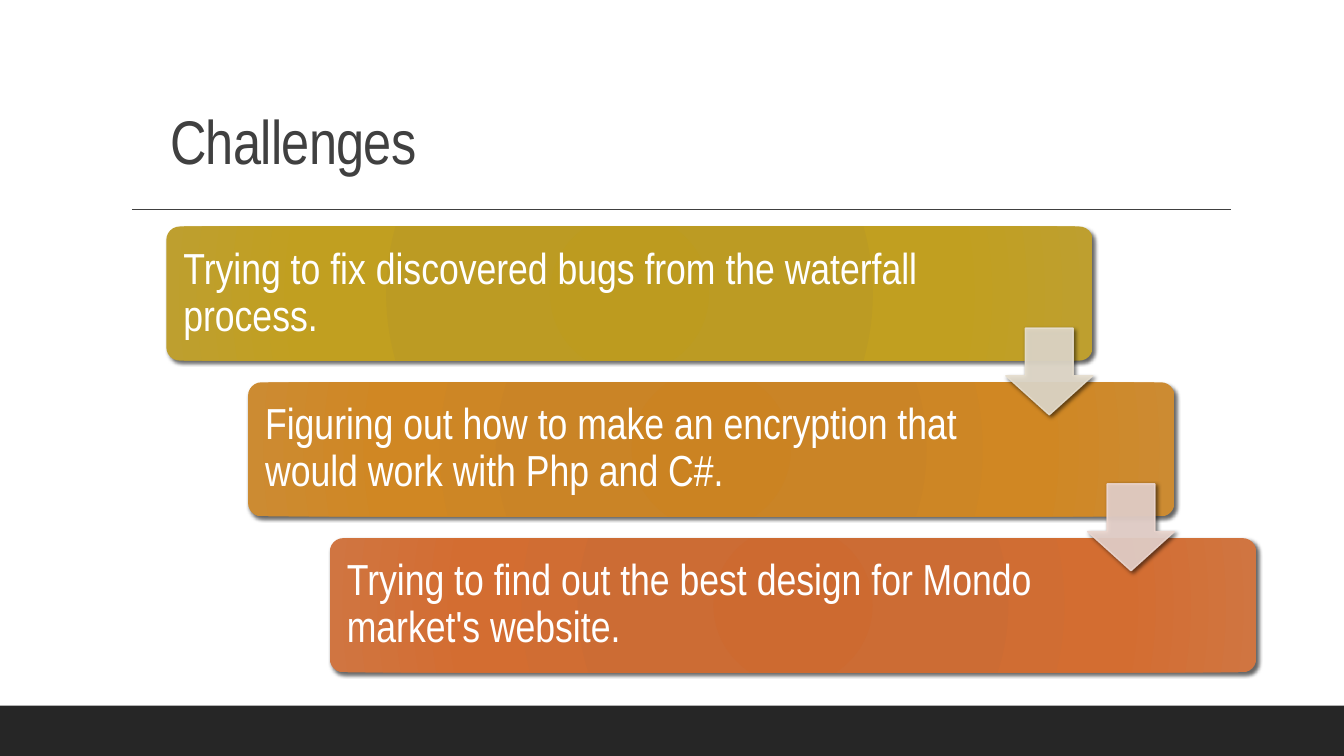
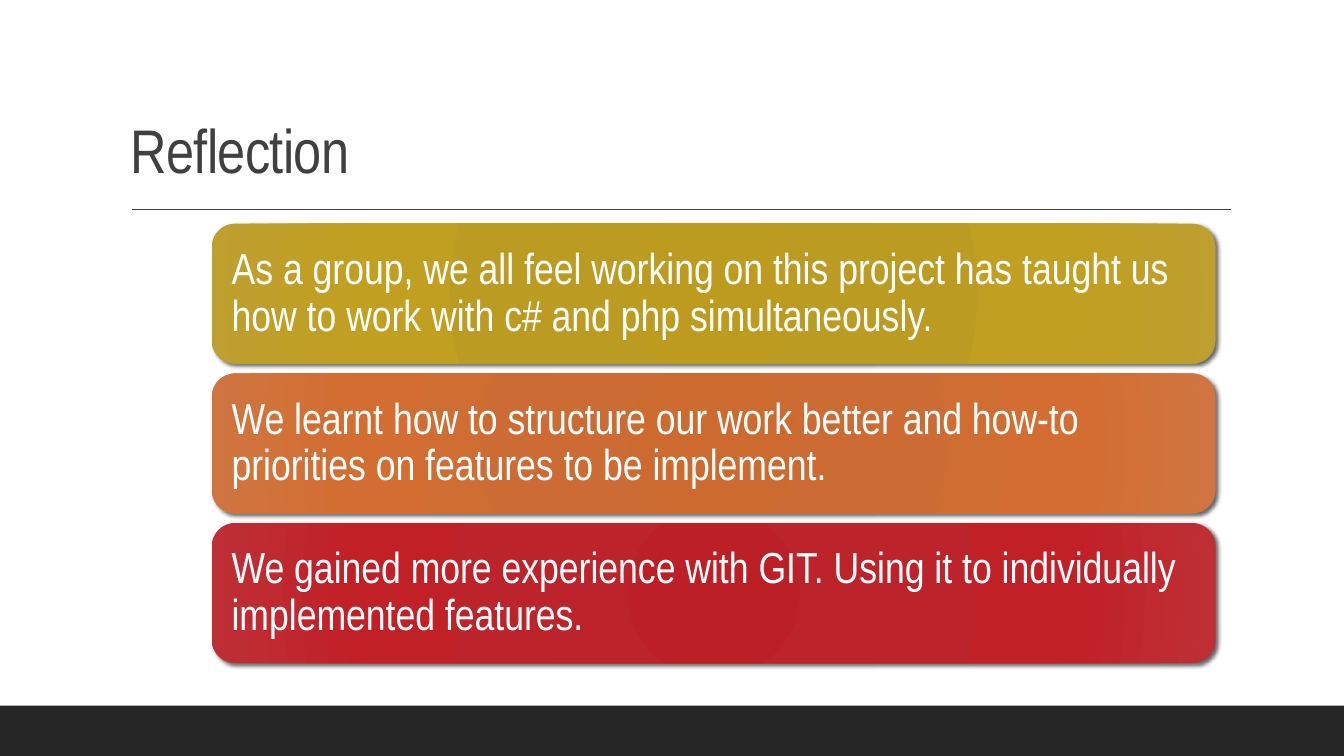
from dataclasses import dataclass
from lxml import etree
from pptx import Presentation
from pptx.dml.color import RGBColor as Rgb
from pptx.enum.shapes import MSO_CONNECTOR as Conn, MSO_SHAPE as Kind
from pptx.enum.text import MSO_ANCHOR as Anchor, PP_ALIGN as Align
from pptx.oxml import parse_xml
from pptx.oxml.ns import nsdecls, qn
from pptx.util import Pt

GOLD = [(0, "BD9B1F"), (34, "BC9B23"), (70, "C19F20"), (100, "BE9F2F")]
AMBER = [(0, "CB8322"), (34, "CA8426"), (70, "D08723"), (100, "CC8B32")]
RUST = [(0, "CD6A30"), (34, "CC6C34"), (70, "D36D31"), (100, "D07541")]
RED = [(0, "BD1F26"), (34, "BC232A"), (70, "C12027"), (100, "BE2F35")]

DECK = [
    {
        "title": ("Challenges", (90.7, 59.8, 237.6, 87.1), Anchor.MIDDLE, Align.CENTER),
        "cards": [
            ("Trying to fix discovered bugs from the waterfall process.", GOLD),
            ("Figuring out how to make an encryption that would work with Php and C#.", AMBER),
            ("Trying to find out the best design for Mondo market's website.", RUST),
        ],
        "first": (118.8, 161.8), "step": (58.4, 111.3), "size": (661.7, 95.8),
        "round": 0.1, "spare": 98, "arrows": ["E6DECE", "EBD6CF"],
    },
    {
        "title": ("Reflection", (86.4, 22.3, 792, 114.5), Anchor.BOTTOM, Align.LEFT),
        "cards": [
            ("As a group, we all feel working on this project has taught us "
             "how to work with c# and php simultaneously.", GOLD),
            ("We learnt how to structure our work better and how-to "
             "priorities on features to be implement.", RUST),
            ("We gained more experience with GIT. Using it to "
             "individually implemented features.", RED),
        ],
        "first": (151.2, 159.8), "step": (0, 106.9), "size": (717.1, 100.1),
        "round": 0.167, "spare": 0, "arrows": [],
    },
]


@dataclass(frozen=True)
class Theme:
    font: str = "Arial Narrow"
    ink: str = "404040"
    band: str = "262626"
    white: str = "FFFFFF"
    head: float = 44
    body: float = 31
    inset: float = 9.4
    arrow: float = 62


T = Theme()
WIDE, HIGH = 960, 540


def pts(*vals):
    return [Pt(v) for v in vals]


def write(shape, text, size, tint, anchor, align, pad=None):
    frame = shape.text_frame
    look = {"word_wrap": True, "vertical_anchor": anchor, **(pad or {})}
    for key, val in look.items():
        setattr(frame, key, val)
    para = frame.paragraphs[0]
    para.alignment, para.line_spacing = align, 0.9
    run = para.add_run()
    run.text = text
    for key, val in {"name": T.font, "size": Pt(size)}.items():
        setattr(run.font, key, val)
    run.font.color.rgb = Rgb.from_string(tint)
    return run


def block(slide, kind, box, tint=None, adjust=()):
    shape = slide.shapes.add_shape(kind, *pts(*box))
    shape.shadow.inherit = False
    shape.line.fill.background()
    for num, val in enumerate(adjust):
        shape.adjustments[num] = val
    if tint:
        shape.fill.solid()
        shape.fill.fore_color.rgb = Rgb.from_string(tint)
    return shape


def shade(shape):
    glow = shape._element.spPr.find(qn("a:effectLst"))
    glow.append(parse_xml(
        f'<a:outerShdw {nsdecls("a")} blurRad="{Pt(3)}" dist="{Pt(2)}" dir="2700000" '
        'algn="ctr" rotWithShape="0"><a:srgbClr val="000000">'
        '<a:alpha val="60000"/></a:srgbClr></a:outerShdw>'))


def blend(shape, stops):
    shape.fill.background()
    props = shape._element.spPr
    marks = "".join(f'<a:gs pos="{pos * 1000}"><a:srgbClr val="{tint}"/></a:gs>'
                    for pos, tint in stops)
    props.replace(props.find(qn("a:noFill")), parse_xml(
        f'<a:gradFill {nsdecls("a")} rotWithShape="1"><a:gsLst>{marks}</a:gsLst>'
        '<a:path path="circle"><a:fillToRect l="100000" t="100000" r="100000" '
        'b="100000"/></a:path></a:gradFill>'))


def frame(slide, title):
    block(slide, Kind.RECTANGLE, (0, 504, WIDE, 36), T.band)
    rule = slide.shapes.add_connector(Conn.STRAIGHT, *pts(94.3, 149.8, 879.1, 149.8))
    rule.line.width = Pt(1)
    rule.line.color.rgb = Rgb.from_string(T.ink)
    etree.SubElement(rule._element.spPr, qn("a:effectLst"))
    text, box, anchor, align = title
    run = write(slide.shapes.add_textbox(*pts(*box)), text, T.head, T.ink, anchor, align)
    run.font._element.set("spc", "-50")


def card(slide, text, stops, box, curve, spare):
    shape = block(slide, Kind.ROUNDED_RECTANGLE, box, adjust=[curve])
    blend(shape, stops)
    shade(shape)
    pad = {f"margin_{side}": Pt(T.inset) for side in ("left", "top", "bottom")}
    pad["margin_right"] = Pt(T.inset + spare)
    write(shape, text, T.body, T.white, Anchor.MIDDLE, Align.LEFT, pad)


def arrow(slide, tint, left, top):
    shape = block(slide, Kind.DOWN_ARROW, (left, top, T.arrow, T.arrow), tint, (0.55, 0.45))
    shape.line.width = Pt(1)
    shape.line.color.rgb = Rgb.from_string(tint)
    for color in shape._element.spPr.iter(qn("a:srgbClr")):
        etree.SubElement(color, qn("a:alpha"), val="90000")
    shade(shape)


def build(deck, page):
    slide = deck.slides.add_slide(deck.slide_layouts[6])
    frame(slide, page["title"])
    (left, top), (dx, dy), (wide, high) = page["first"], page["step"], page["size"]
    for num, (text, stops) in enumerate(page["cards"]):
        box = (left + num * dx, top + num * dy, wide, high)
        card(slide, text, stops, box, page["round"], page["spare"])
    for num, tint in enumerate(page["arrows"]):
        mid = top + num * dy + (high + dy) / 2
        arrow(slide, tint, left + num * dx + wide - T.arrow, mid - T.arrow / 2)


def main():
    deck = Presentation()
    deck.slide_width, deck.slide_height = pts(WIDE, HIGH)
    for page in DECK:
        build(deck, page)
    deck.save("out.pptx")


if __name__ == "__main__":
    main()
